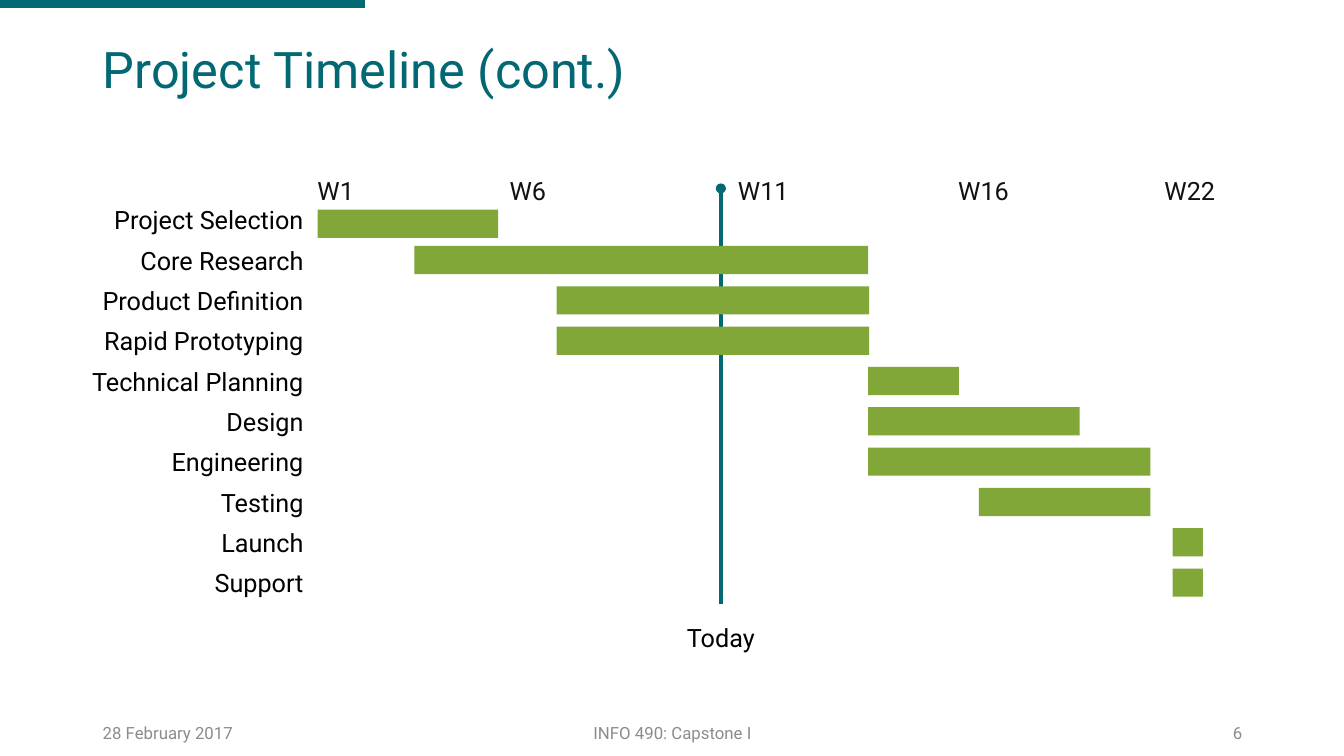
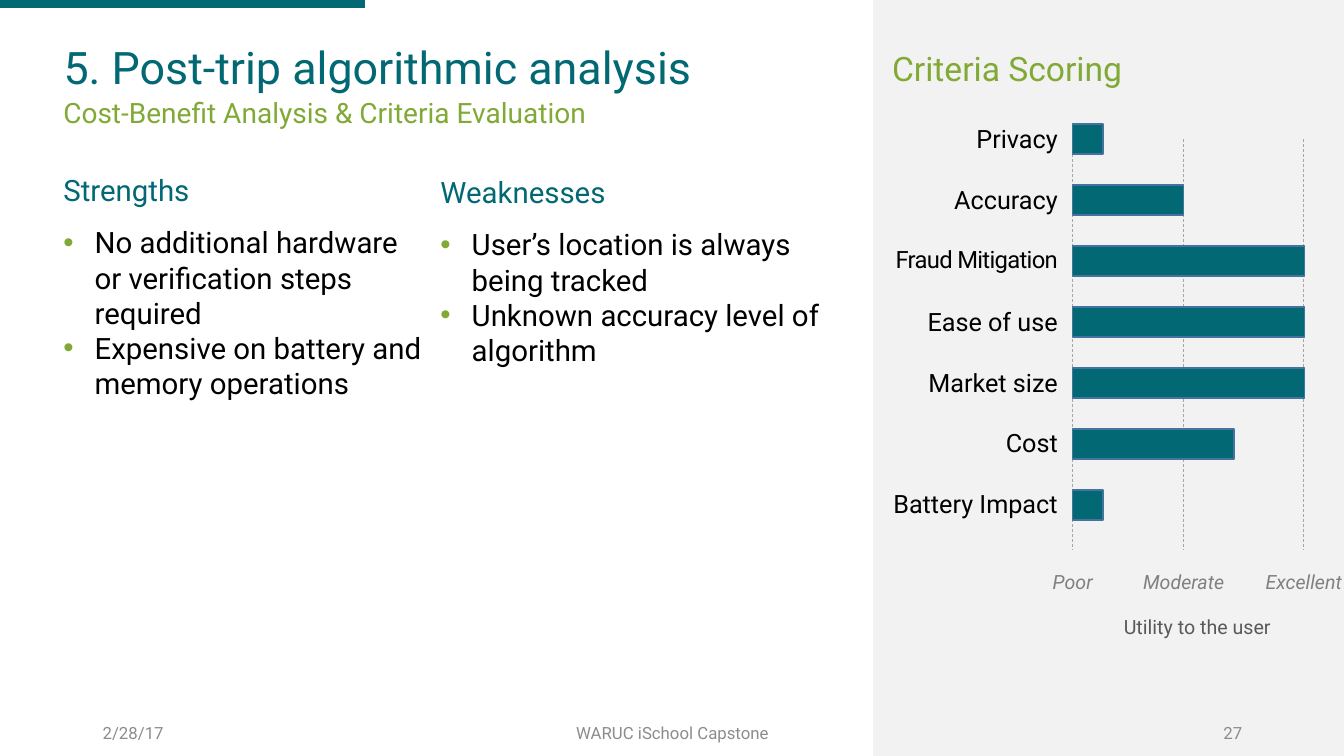
from lxml import etree
from pptx import Presentation
from pptx.dml.color import RGBColor
from pptx.enum.dml import MSO_LINE
from pptx.enum.shapes import MSO_CONNECTOR, MSO_SHAPE
from pptx.enum.text import MSO_ANCHOR, MSO_AUTO_SIZE, PP_ALIGN
from pptx.oxml.ns import qn
from pptx.util import Inches, Pt

# Shared look
FONT = "Roboto"
TEAL = RGBColor(0x01, 0x68, 0x74)
BAR_GREEN = RGBColor(0x80, 0xA7, 0x37)
TEXT_GREEN = RGBColor(0x81, 0xA9, 0x36)
BLUE_EDGE = RGBColor(0x43, 0x73, 0x9E)
PANEL_GREY = RGBColor(0xF2, 0xF2, 0xF2)
GUIDE_GREY = RGBColor(0xA6, 0xA6, 0xA6)
SCALE_GREY = RGBColor(0x80, 0x80, 0x80)
CAPTION_GREY = RGBColor(0x59, 0x59, 0x59)
FOOTER_GREY = RGBColor(0x8C, 0x8C, 0x8C)
INK = RGBColor(0x11, 0x11, 0x11)
BLACK = RGBColor(0, 0, 0)
LEFT, CENTER, RIGHT = PP_ALIGN.LEFT, PP_ALIGN.CENTER, PP_ALIGN.RIGHT

# Timeline content: task, bar left, bar width
TASKS = [
    ("Project Selection", 3.15, 1.79),
    ("Core Research", 4.11, 4.5),
    ("Product Definition", 5.52, 3.1),
    ("Rapid Prototyping", 5.52, 3.1),
    ("Technical Planning", 8.61, 0.9),
    ("Design", 8.61, 2.1),
    ("Engineering", 8.61, 2.8),
    ("Testing", 9.71, 1.7),
    ("Launch", 11.63, 0.3),
    ("Support", 11.63, 0.3),
]
# Week, label left, label width, alignment
WEEKS = [
    ("W1", 3.05, 0.82, LEFT),
    ("W6", 4.94, 0.59, CENTER),
    ("W11", 7.15, 0.84, CENTER),
    ("W16", 9.36, 0.79, CENTER),
    ("W22", 11.43, 0.72, RIGHT),
]
TODAY = 7.15
ROW_HEIGHT = 0.39
BAR_TOPS = [2.08] + [2.44 + 0.4 * row for row in range(len(TASKS) - 1)]

# Analysis content: heading, bullets, box (left, top, width, height)
COLUMNS = [
    ("Strengths",
     ["No additional hardware or verification steps required",
      "Expensive on battery and memory operations"],
     (0.53, 1.66, 3.75, 2.39)),
    ("Weaknesses",
     ["User’s location is always being tracked",
      "Unknown accuracy level of algorithm"],
     (4.27, 1.68, 4.09, 2.04)),
]
# Criterion and bar length
SCORES = [
    ("Privacy", 0.3),
    ("Accuracy", 1.1),
    ("Fraud Mitigation", 2.3),
    ("Ease of use", 2.3),
    ("Market size", 2.3),
    ("Cost", 1.6),
    ("Battery Impact", 0.3),
]
TIGHT_LABEL = "Fraud Mitigation"
SCALE = [("Poor", 10.64), ("Moderate", 11.74), ("Excellent", 12.93)]
SCORE_LEFT = 10.64
SCORE_FIRST, SCORE_LAST = 1.23, 4.86
SCORE_STEP = (SCORE_LAST - SCORE_FIRST) / (len(SCORES) - 1)


def style(para, size, color, align=LEFT, italic=False):
    para.alignment = align
    font = para.font
    font.name, font.size, font.italic = FONT, Pt(size), italic
    font.color.rgb = color


def add_text(page, text, place, size, color, align=LEFT, anchor=MSO_ANCHOR.TOP,
             italic=False, spacing=None):
    box = page.shapes.add_textbox(*map(Inches, place))
    frame = box.text_frame
    frame.word_wrap = True
    frame.vertical_anchor = anchor
    para = frame.paragraphs[0]
    para.text = text
    para.line_spacing = spacing
    style(para, size, color, align, italic)
    return para


def add_block(page, place, fill, edge=None, preset=MSO_SHAPE.RECTANGLE):
    block = page.shapes.add_shape(preset, *map(Inches, place))
    block.shadow.inherit = False
    block.fill.solid()
    block.fill.fore_color.rgb = fill
    if edge is None:
        block.line.fill.background()
    else:
        block.line.color.rgb = edge
        block.line.width = Pt(1)


def add_line(page, start, end, color, width, dash=None):
    line = page.shapes.add_connector(MSO_CONNECTOR.STRAIGHT,
                                     *map(Inches, start + end))
    line.line.color.rgb = color
    line.line.width = Pt(width)
    if dash is not None:
        line.line.dash_style = dash
    etree.SubElement(line._element.spPr, qn("a:effectLst"))


def add_bullet(para, color):
    props = para._p.get_or_add_pPr()
    props.set("marL", str(Inches(0.31)))
    props.set("indent", str(-Inches(0.31)))
    tint = etree.SubElement(props, qn("a:buClr"))
    etree.SubElement(tint, qn("a:srgbClr")).set("val", str(color))
    etree.SubElement(props, qn("a:buFont")).set("typeface", "Arial")
    etree.SubElement(props, qn("a:buChar")).set("char", "•")


def new_page(deck, title, place, size):
    page = deck.slides.add_slide(deck.slide_layouts[5])
    holder = page.shapes.title
    holder.left, holder.top, holder.width, holder.height = map(Inches, place)
    frame = holder.text_frame
    frame.text = title
    frame.word_wrap = True
    frame.auto_size = MSO_AUTO_SIZE.NONE
    frame.vertical_anchor = MSO_ANCHOR.TOP
    para = frame.paragraphs[0]
    para.line_spacing = 0.9
    style(para, size, TEAL)
    add_line(page, (0, 0.03), (3.62, 0.03), TEAL, 7.5)
    return page


def add_footer(page, date, label, number):
    for text, left, width, align in [(date, 0.92, 3, LEFT),
                                     (label, 4.42, 4.5, CENTER),
                                     (number, 9.42, 3, RIGHT)]:
        add_text(page, text, (left, 7.07, width, 0.4), 12, FOOTER_GREY, align,
                 MSO_ANCHOR.MIDDLE)


def add_task_table(page):
    frame = page.shapes.add_table(
        len(TASKS), 1, Inches(0.52), Inches(1.99), Inches(2.59),
        Inches(ROW_HEIGHT * len(TASKS)))
    table = frame.table
    table.first_row = table.horz_banding = False
    for row, (task, _, _) in enumerate(TASKS):
        table.rows[row].height = Inches(ROW_HEIGHT)
        cell = table.cell(row, 0)
        cell.text = task
        cell.fill.background()
        cell.vertical_anchor = MSO_ANCHOR.BOTTOM
        style(cell.text_frame.paragraphs[0], 18, BLACK, RIGHT)


def build_timeline(deck):
    page = new_page(deck, "Project Timeline (cont.)", (0.92, 0.4, 11.5, 0.95), 36)
    add_line(page, (TODAY, 1.89), (TODAY, 5.99), TEAL, 3)
    add_footer(page, "28 February 2017", "INFO 490: Capstone I", "6")
    add_task_table(page)
    for (_, left, width), top in zip(TASKS, BAR_TOPS):
        add_block(page, (left, top, width, 0.28), BAR_GREEN)
    for week, left, width, align in WEEKS:
        add_text(page, week, (left, 1.69, width, 0.4), 18, INK, align)
    # Marker for the current week
    add_text(page, "Today", (TODAY - 0.5, 6.12, 1, 0.4), 18, BLACK, CENTER)
    add_block(page, (TODAY - 0.05, 1.82, 0.1, 0.1), TEAL, preset=MSO_SHAPE.OVAL)


def build_analysis(deck):
    page = new_page(deck, "5. Post-trip algorithmic analysis",
                    (0.53, 0.4, 12.16, 0.95), 32)
    add_block(page, (8.66, 0, 4.67, 7.5), PANEL_GREY)
    add_footer(page, "2/28/17", "WARUC iSchool Capstone", "27")
    add_text(page, "Cost-Benefit Analysis & Criteria Evaluation",
             (0.53, 0.94, 5.67, 0.48), 20, TEXT_GREEN, spacing=0.9)

    # Strengths and weaknesses
    for heading, bullets, place in COLUMNS:
        head = add_text(page, heading, place, 21, TEAL)
        head.space_after = Pt(12)
        for bullet in bullets:
            para = head._parent.add_paragraph()
            para.text = bullet
            add_bullet(para, TEXT_GREEN)
            style(para, 21, BLACK)

    # Criteria scores
    add_text(page, "Criteria Scoring", (8.75, 0.47, 4.07, 0.48), 24, TEXT_GREEN,
             spacing=0.9)
    for label, x in SCALE:
        add_line(page, (x, 1.38), (x, 5.46), GUIDE_GREY, 0.5, MSO_LINE.DASH)
        add_text(page, label, (x - 0.51, 5.61, 1.02, 0.34), 14, SCALE_GREY,
                 CENTER, italic=True)
    for index, (criterion, length) in enumerate(SCORES):
        top = SCORE_FIRST + SCORE_STEP * index
        tight = criterion == TIGHT_LABEL
        para = add_text(page, criterion, (8.69, top - 0.06, 1.9, 0.4),
                        17 if tight else 18, BLACK, RIGHT)
        if tight:
            para.runs[0].font._element.set("spc", "-50")
        add_block(page, (SCORE_LEFT, top, length, 0.3), TEAL, BLUE_EDGE)
    add_text(page, "Utility to the user", (10.42, 6.05, 2.91, 0.34), 14,
             CAPTION_GREY, CENTER)


def main():
    deck = Presentation()
    deck.slide_width, deck.slide_height = Inches(13.33), Inches(7.5)
    build_timeline(deck)
    build_analysis(deck)
    deck.save("out.pptx")


if __name__ == "__main__":
    main()
